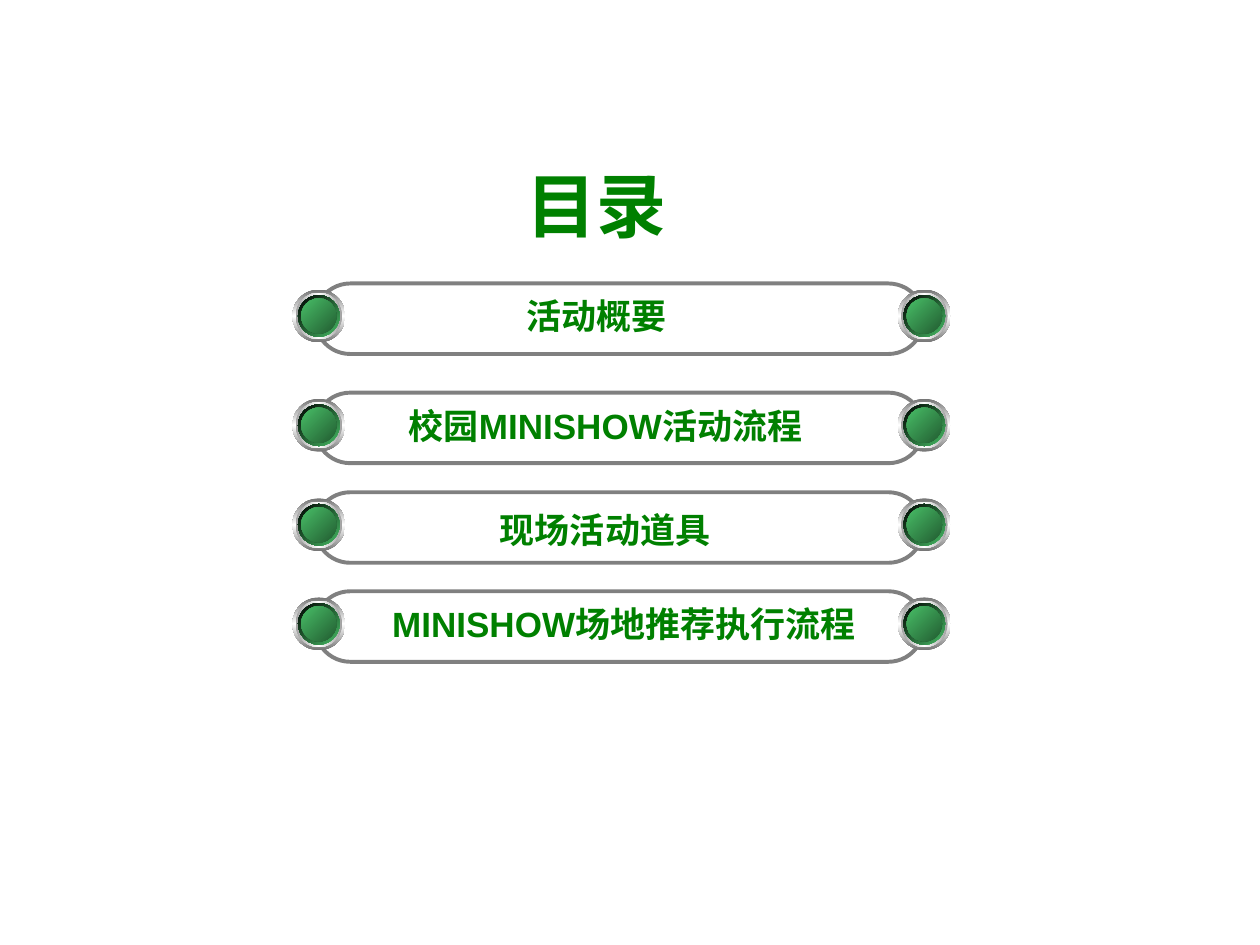
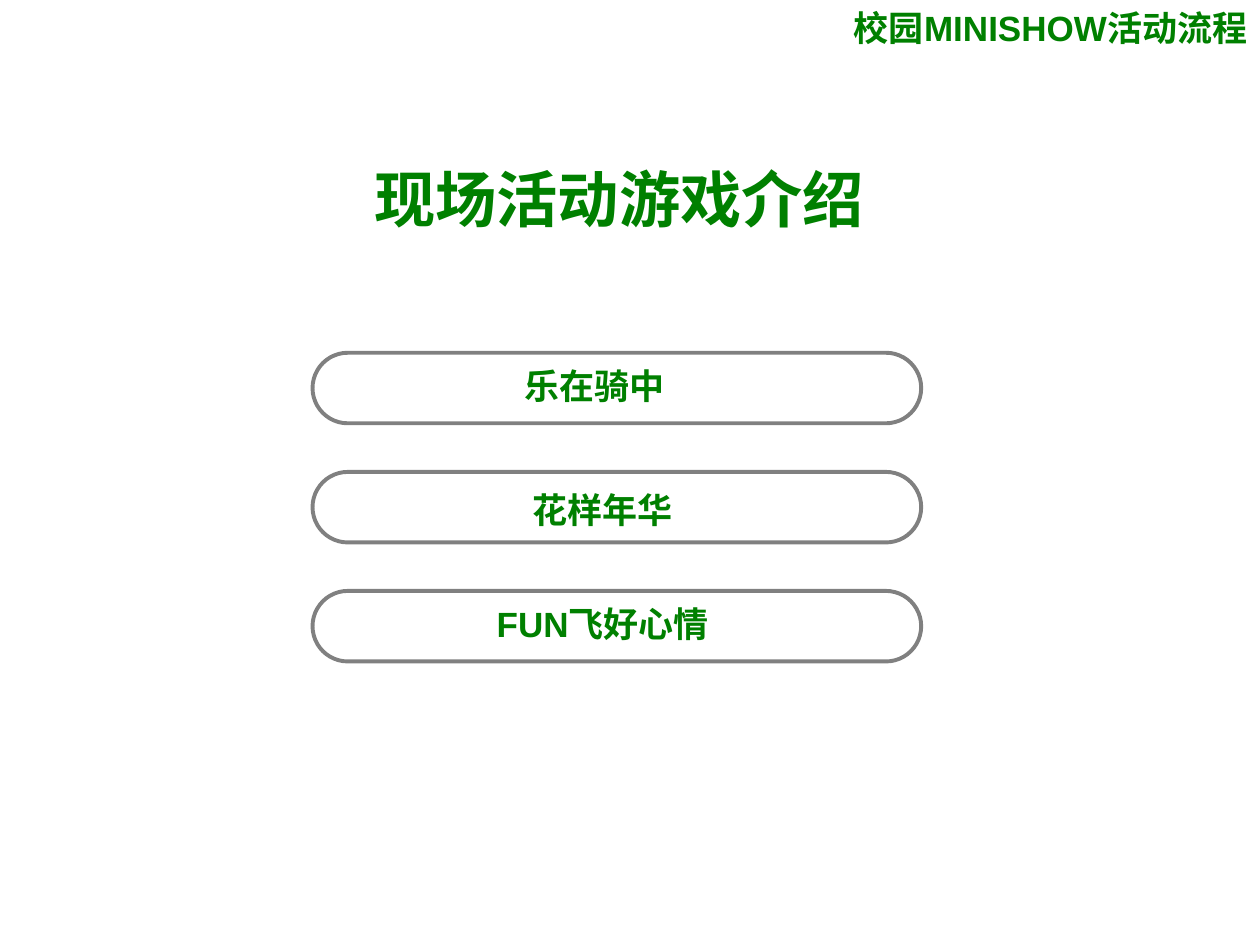
from lxml import etree
from pptx import Presentation
from pptx.dml.color import RGBColor
from pptx.enum import lang, shapes, text
from pptx.oxml import ns
from pptx.util import Pt

# Content: (words, centre x, top y, box width) and the top of its bar
INDEX = {
    "title": ("目录", 340.6, 89.3, 94.3),
    "size": 40,
    "bar_x": 180,
    "knobs": True,
    "rows": [
        (("活动概要", 341, 164.9, 94.3), 162),
        (("校园MINISHOW活动流程", 346, 227.5, 248.4), 224.4),
        (("现场活动道具", 345.8, 287.3, 134.6), 281.3),
        (("MINISHOW场地推荐执行流程", 356.6, 340.6, 283.7), 337.9),
    ],
}
GAMES = {
    "title": ("现场活动游戏介绍", 353.9, 88.6, 294.5),
    "size": 35,
    "header": ("校园MINISHOW活动流程", 600.4, 0, 248.4),
    "bar_x": 178.6,
    "knobs": False,
    "rows": [
        (("乐在骑中", 339.7, 204.5, 94.3), 201.6),
        (("花样年华", 344.5, 275.8, 94.3), 269.7),
        (("FUN飞好心情", 344.5, 340.6, 140.4), 337.7),
    ],
}

# Shared style
FONT = "Arial"
GREEN = RGBColor(0x00, 0x80, 0x00)
GREY = RGBColor(0x80, 0x80, 0x80)
STEEL = RGBColor(0x75, 0x75, 0x75)
SILVER = RGBColor(0xA1, 0xA1, 0xA1)
WHITE = RGBColor(0xFF, 0xFF, 0xFF)
BLACK = RGBColor(0x00, 0x00, 0x00)
LEAF = RGBColor(0x48, 0xBE, 0x67)
PINE = RGBColor(0x22, 0x5C, 0x31)
BAR_W, BAR_H = 347.8, 40.3
KNOB_X = (528.2, 182.2)
KNOB_DY = 18.6
# Knob discs from the outside in: diameter, clockwise angle, colours
DISCS = [
    (30.2, 90, (STEEL, WHITE, STEEL)),
    (26.6, 180, (SILVER, WHITE, SILVER)),
    (23.8, 225, (LEAF, BLACK)),
    (20.2, 225, (PINE, LEAF)),
]


def shade(shape, angle, hues):
    """Fill a shape with evenly spaced gradient stops."""
    shape.fill.gradient()
    grad = shape.fill._xPr.find(ns.qn("a:gradFill"))
    stops = grad.find(ns.qn("a:gsLst"))
    for old in list(stops):
        stops.remove(old)
    for i, hue in enumerate(hues):
        stop = etree.SubElement(stops, ns.qn("a:gs"),
                                pos=str(100000 * i // (len(hues) - 1)))
        etree.SubElement(stop, ns.qn("a:srgbClr"), val=str(hue))
    grad.find(ns.qn("a:lin")).set("ang", str(angle * 60000))


def add_bar(group, x, y):
    bar = group.add_shape(shapes.MSO_SHAPE.ROUNDED_RECTANGLE,
                          Pt(x), Pt(y), Pt(BAR_W), Pt(BAR_H))
    bar.adjustments[0] = 0.5
    bar.shadow.inherit = False
    bar.fill.background()
    bar.line.color.rgb = GREY
    bar.line.width = Pt(2.25)


def add_knob(group, x, y):
    for size, angle, hues in DISCS:
        disc = group.add_shape(shapes.MSO_SHAPE.OVAL, Pt(x - size / 2),
                               Pt(y - size / 2), Pt(size), Pt(size))
        disc.shadow.inherit = False
        disc.line.fill.background()
        shade(disc, angle, hues)


def put(box, item, size):
    """Place a box and write its one centred green line."""
    words, mid, top, width = item
    box.left, box.top = Pt(mid - width / 2), Pt(top)
    box.width, box.height = Pt(width), Pt(size * 1.2 + 7.2)
    frame = box.text_frame
    frame.word_wrap = False
    # Full box width for the line, as placeholders may wrap regardless
    frame.margin_left = frame.margin_right = 0
    frame.auto_size = text.MSO_AUTO_SIZE.NONE
    frame.vertical_anchor = text.MSO_ANCHOR.TOP
    para = frame.paragraphs[0]
    para.alignment = text.PP_ALIGN.CENTER
    run = para.add_run()
    run.text = words
    font = run.font
    font.name, font.size, font.bold = FONT, Pt(size), True
    font.color.rgb = GREEN
    font.language_id = lang.MSO_LANGUAGE_ID.SIMPLIFIED_CHINESE


def add_label(slide, item):
    put(slide.shapes.add_textbox(0, 0, 0, 0), item, 20)


def build(deck, page):
    slide = deck.slides.add_slide(deck.slide_layouts[5])
    put(slide.shapes.title, page["title"], page["size"])
    if "header" in page:
        add_label(slide, page["header"])
    for label, top in page["rows"]:
        if page["knobs"]:
            group = slide.shapes.add_group_shape().shapes
            add_bar(group, page["bar_x"], top)
            for x in KNOB_X:
                add_knob(group, x, top + KNOB_DY)
        else:
            add_bar(slide.shapes, page["bar_x"], top)
        add_label(slide, label)


def main():
    deck = Presentation()
    deck.slide_width, deck.slide_height = Pt(720), Pt(540)
    for page in (INDEX, GAMES):
        build(deck, page)
    deck.save("out.pptx")


if __name__ == "__main__":
    main()
